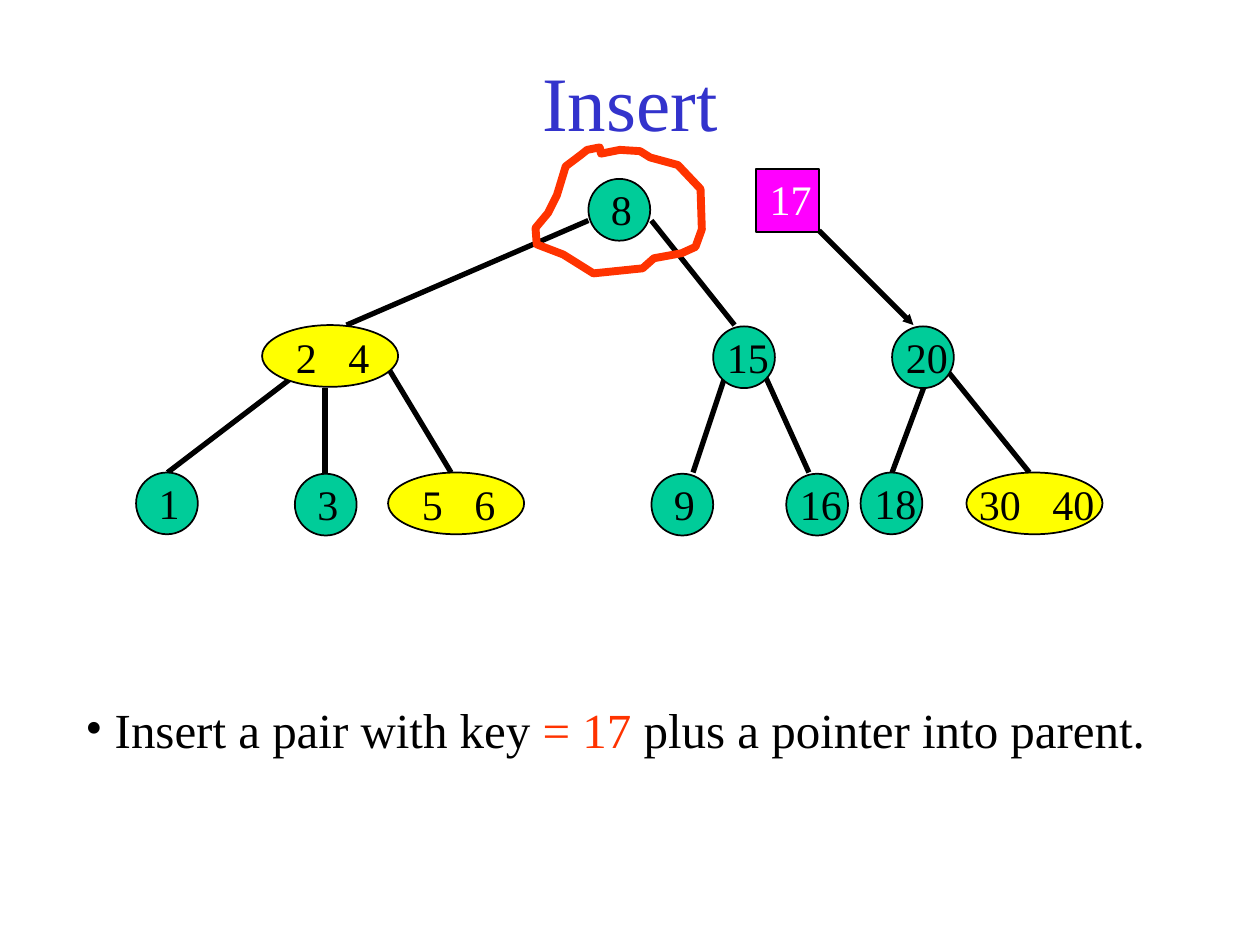
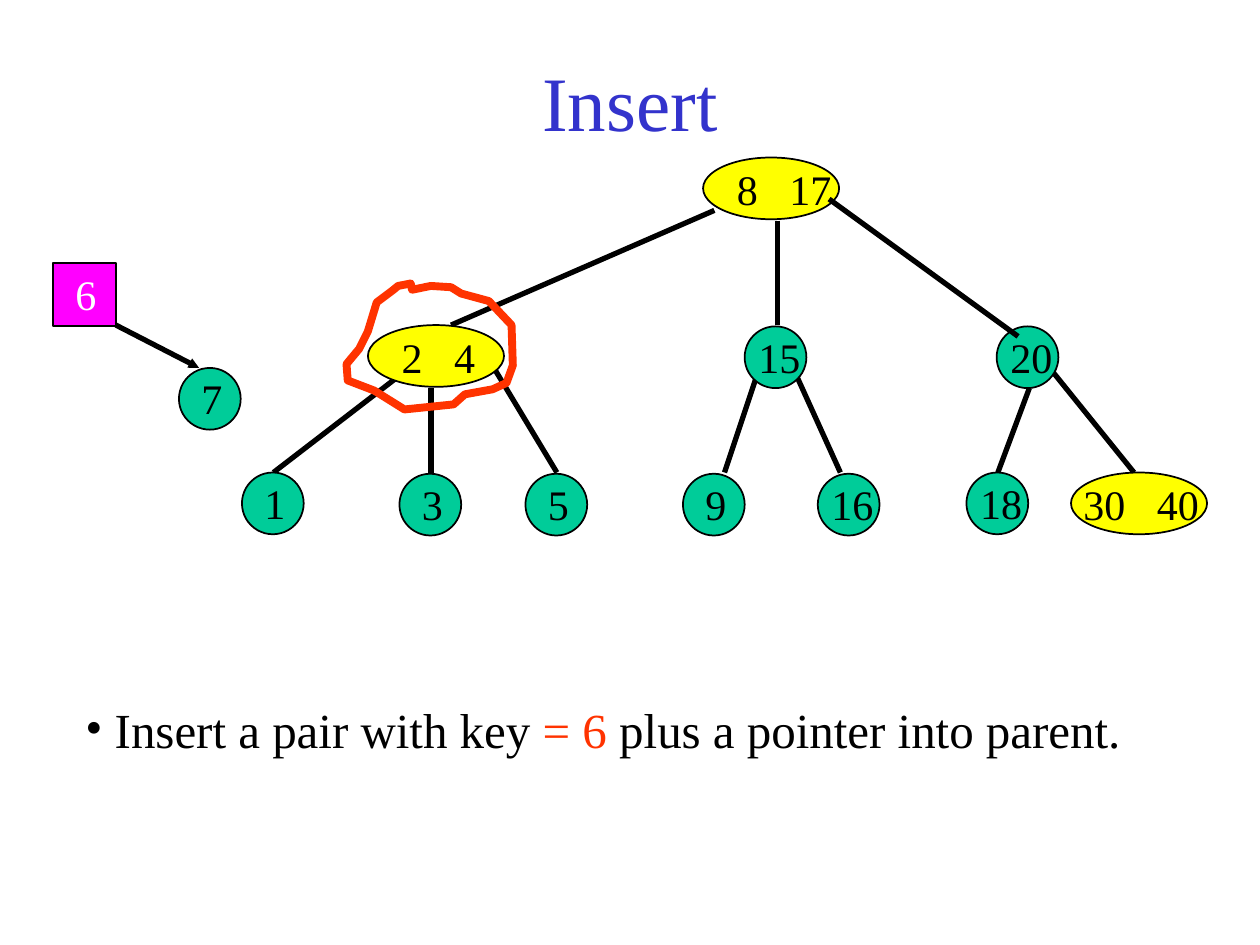
from dataclasses import dataclass

import lxml.etree
import pptx
import pptx.dml.color
import pptx.enum.shapes
import pptx.enum.text
import pptx.oxml.ns
import pptx.util
from pptx.util import Inches

FONT = "Times New Roman"
BLACK, WHITE, TITLE_BLUE, RED = "000000", "FFFFFF", "3333CC", "FF3300"
GREEN, YELLOW, MAGENTA = "00CC99", "FFFF00", "FF00FF"
OVAL = pptx.enum.shapes.MSO_SHAPE.OVAL
SQUARE = pptx.enum.shapes.MSO_SHAPE.RECTANGLE
NODE_HEIGHT, PAIR_WIDTH, SQUARE_SIZE = 0.49, 1.08, 0.5
ROOT_ROW, MIDDLE_ROW, LEAF_ROW = 1.42, 2.58, 3.75
CIRCLE_DROP = 0.01
DIGIT_WIDTH, KEY_GAP = 1 / 6, 0.25
MARK_UNITS = 1000

MARK_OUTLINE = [
    (0.51, 0), (0.41, 0.02), (0.36, 0.06), (0.24, 0.15), (0.17, 0.38),
    (0.1, 0.52), (0, 0.64), (0.01, 0.77), (0.22, 0.85), (0.46, 1),
    (0.85, 0.96), (0.94, 0.88), (1.16, 0.84), (1.27, 0.79), (1.32, 0.65),
    (1.31, 0.33), (1.13, 0.14), (0.91, 0.08), (0.83, 0.03), (0.67, 0.02),
    (0.52, 0.05),
]


@dataclass(frozen=True)
class Node:
    keys: str
    left: float
    top: float


@dataclass(frozen=True)
class Edge:
    start: tuple[float, float]
    end: tuple[float, float]
    in_front: bool = False


@dataclass(frozen=True)
class InsertStep:
    new_key: Node
    pointer: Edge
    mark: tuple[float, float]
    nodes: list[Node]
    edges: list[Edge]


STEPS = [
    InsertStep(
        new_key=Node("17", 6, 1.34),
        pointer=Edge((6.5, 1.83), (7.25, 2.58)),
        mark=(4.25, 1.17),
        nodes=[
            Node("8", 4.67, ROOT_ROW),
            Node("2 4", 2.08, MIDDLE_ROW),
            Node("15", 5.66, MIDDLE_ROW + CIRCLE_DROP),
            Node("20", 7.08, MIDDLE_ROW + CIRCLE_DROP),
            Node("1", 1.08, LEAF_ROW),
            Node("3", 2.34, LEAF_ROW + CIRCLE_DROP),
            Node("5 6", 3.08, LEAF_ROW),
            Node("9", 5.17, LEAF_ROW + CIRCLE_DROP),
            Node("16", 6.24, LEAF_ROW + CIRCLE_DROP),
            Node("18", 6.83, LEAF_ROW),
            Node("30 40", 7.67, LEAF_ROW),
        ],
        edges=[
            Edge((4.67, 1.75), (2.75, 2.58)),
            Edge((5.17, 1.75), (5.83, 2.58)),
            Edge((2.42, 2.92), (1.33, 3.75)),
            Edge((2.58, 3.08), (2.58, 3.75)),
            Edge((3.08, 2.92), (3.58, 3.75)),
            Edge((5.75, 3), (5.5, 3.75)),
            Edge((6.08, 3), (6.42, 3.75)),
            Edge((7.33, 3.08), (7.08, 3.75)),
            Edge((7.5, 2.92), (8.17, 3.75)),
        ],
    ),
    InsertStep(
        new_key=Node("6", 0.42, 2.09),
        pointer=Edge((0.92, 2.58), (1.58, 2.92)),
        mark=(2.75, 2.25),
        nodes=[
            Node("8 17", 5.58, 1.25),
            Node("2 4", 2.92, MIDDLE_ROW),
            Node("15", 5.91, MIDDLE_ROW + CIRCLE_DROP),
            Node("20", 7.91, MIDDLE_ROW + CIRCLE_DROP),
            Node("7", 1.42, 2.92),
            Node("1", 1.92, LEAF_ROW),
            Node("3", 3.17, LEAF_ROW + CIRCLE_DROP),
            Node("5", 4.17, LEAF_ROW + CIRCLE_DROP),
            Node("9", 5.42, LEAF_ROW + CIRCLE_DROP),
            Node("16", 6.49, LEAF_ROW + CIRCLE_DROP),
            Node("18", 7.67, LEAF_ROW),
            Node("30 40", 8.5, LEAF_ROW),
        ],
        edges=[
            Edge((5.67, 1.67), (3.58, 2.58)),
            Edge((6.17, 1.75), (6.17, 2.58)),
            Edge((6.58, 1.58), (8.08, 2.67), in_front=True),
            Edge((3.25, 2.92), (2.17, 3.75)),
            Edge((3.42, 3.08), (3.42, 3.75)),
            Edge((3.92, 2.92), (4.42, 3.75)),
            Edge((6, 3), (5.75, 3.75)),
            Edge((6.33, 3), (6.67, 3.75)),
            Edge((8.17, 3.08), (7.92, 3.75)),
            Edge((8.33, 2.92), (9, 3.75)),
        ],
    ),
]


def rgb(color: str) -> pptx.dml.color.RGBColor:
    return pptx.dml.color.RGBColor.from_string(color)


def add_element(parent, tag: str, **attributes: str):
    element = lxml.etree.SubElement(parent, pptx.oxml.ns.qn(tag))
    for name, value in attributes.items():
        element.set(name, value)
    return element


def format_run(run, size: float, color: str) -> None:
    run.font.name = FONT
    run.font.size = pptx.util.Pt(size)
    run.font.color.rgb = rgb(color)


def add_text_box(slide, left: float, top: float, width: float, height: float):
    box = slide.shapes.add_textbox(Inches(left), Inches(top), Inches(width), Inches(height))
    box.text_frame.word_wrap = True
    return box.text_frame


def add_title(slide) -> None:
    text_frame = add_text_box(slide, 0.75, 0.17, 8.5, 1.25)
    text_frame.vertical_anchor = pptx.enum.text.MSO_ANCHOR.MIDDLE
    text_frame.text = "Insert"
    paragraph = text_frame.paragraphs[0]
    paragraph.alignment = pptx.enum.text.PP_ALIGN.CENTER
    format_run(paragraph.runs[0], 44, TITLE_BLUE)


def add_explanation(slide, key: str) -> None:
    paragraph = add_text_box(slide, 0.58, 5.5, 8.83, 0.57).paragraphs[0]
    properties = paragraph._p.get_or_add_pPr()
    properties.set("marL", "0")
    properties.set("indent", str(Inches(-0.19)))
    bullet_color = add_element(properties, "a:buClr")
    add_element(bullet_color, "a:srgbClr", val=BLACK)
    add_element(properties, "a:buFont", typeface=FONT)
    add_element(properties, "a:buChar", char="•")
    pieces = [
        (" Insert a pair with key ", BLACK),
        (f"= {key} ", RED),
        ("plus a pointer into parent.", BLACK),
    ]
    for text, color in pieces:
        run = paragraph.add_run()
        run.text = text
        format_run(run, 28, color)


def add_label(slide, node: Node, color: str) -> None:
    keys = node.keys.split()
    is_pair = len(keys) > 1
    if is_pair:
        offset, rise = (0.17 if len(keys[0]) == 1 else 0), 0
    else:
        offset, rise = (0.08 if len(keys[0]) == 1 else 0.01), 0.01
    width = {1: 0.42, 2: 0.85, 3: 0.83}.get(len(node.keys), 1.5)
    text_frame = add_text_box(slide, node.left + offset, node.top - rise, width, 0.5)
    text_frame.text = "\t".join(keys)
    paragraph = text_frame.paragraphs[0]
    if is_pair:
        tabs = add_element(paragraph._p.get_or_add_pPr(), "a:tabLst")
        position = Inches(len(keys[0]) * DIGIT_WIDTH + KEY_GAP)
        add_element(tabs, "a:tab", pos=str(position), algn="l")
    format_run(paragraph.runs[0], 24, color)


def add_key_shape(slide, kind, node: Node, width: float, height: float, fill: str, text_color: str) -> None:
    shape = slide.shapes.add_shape(
        kind, Inches(node.left), Inches(node.top), Inches(width), Inches(height)
    )
    shape.shadow.inherit = False
    shape.fill.solid()
    shape.fill.fore_color.rgb = rgb(fill)
    shape.line.color.rgb = rgb(BLACK)
    shape.line.width = pptx.util.Pt(1)
    add_label(slide, node, text_color)


def add_node(slide, node: Node) -> None:
    is_pair = " " in node.keys
    width, fill = (PAIR_WIDTH, YELLOW) if is_pair else (NODE_HEIGHT, GREEN)
    add_key_shape(slide, OVAL, node, width, NODE_HEIGHT, fill, BLACK)


def add_edge(slide, edge: Edge, arrow: bool = False) -> None:
    connector = slide.shapes.add_connector(
        pptx.enum.shapes.MSO_CONNECTOR.STRAIGHT,
        *(Inches(value) for value in edge.start + edge.end),
    )
    connector.line.color.rgb = rgb(BLACK)
    connector.line.width = pptx.util.Pt(3)
    if arrow:
        line = connector.line._get_or_add_ln()
        add_element(line, "a:tailEnd", type="triangle", w="sm", len="sm")
    add_element(connector._element.spPr, "a:effectLst")


def add_mark(slide, left: float, top: float) -> None:
    points = [(round(x * MARK_UNITS), round(y * MARK_UNITS)) for x, y in MARK_OUTLINE]
    builder = slide.shapes.build_freeform(*points[0], scale=Inches(1) / MARK_UNITS)
    builder.add_line_segments(points[1:], close=True)
    shape = builder.convert_to_shape(Inches(left), Inches(top))
    shape.shadow.inherit = False
    shape.fill.background()
    shape.line.color.rgb = rgb(RED)
    shape.line.width = pptx.util.Pt(4.5)


def add_step(presentation, step: InsertStep) -> None:
    slide = presentation.slides.add_slide(presentation.slide_layouts[6])
    add_title(slide)
    add_explanation(slide, step.new_key.keys)
    for edge in step.edges:
        if not edge.in_front:
            add_edge(slide, edge)
    for node in step.nodes:
        add_node(slide, node)
    for edge in step.edges:
        if edge.in_front:
            add_edge(slide, edge)
    add_key_shape(slide, SQUARE, step.new_key, SQUARE_SIZE, SQUARE_SIZE, MAGENTA, WHITE)
    add_edge(slide, step.pointer, arrow=True)
    add_mark(slide, *step.mark)


def main() -> None:
    presentation = pptx.Presentation()
    presentation.slide_width = Inches(10)
    presentation.slide_height = Inches(7.5)
    for step in STEPS:
        add_step(presentation, step)
    presentation.save("out.pptx")


if __name__ == "__main__":
    main()
